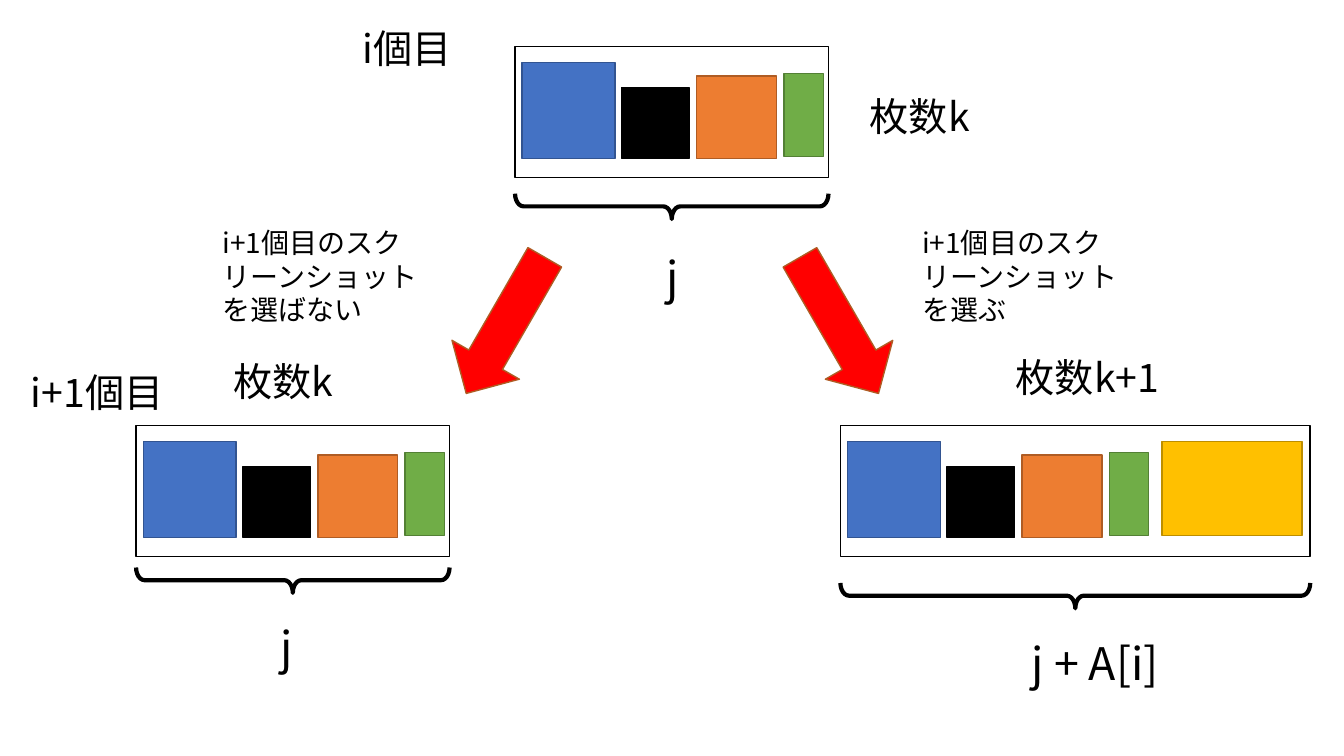
import lxml.etree
import pptx
import pptx.dml.color
import pptx.enum.shapes
import pptx.enum.text
import pptx.oxml.ns
import pptx.util

Cm = pptx.util.Cm
RGB = pptx.dml.color.RGBColor
KIND = pptx.enum.shapes.MSO_SHAPE
FONT = "Noto Sans CJK JP"

WHITE = RGB(0xFF, 0xFF, 0xFF)
BLACK = RGB(0x00, 0x00, 0x00)
RED = RGB(0xFF, 0x00, 0x00)
BLUE = RGB(0x44, 0x72, 0xC4)
NAVY = RGB(0x32, 0x54, 0x91)
ORANGE = RGB(0xED, 0x7D, 0x31)
BROWN = RGB(0xAF, 0x5C, 0x24)
GREEN = RGB(0x70, 0xAD, 0x47)
MOSS = RGB(0x53, 0x80, 0x35)
GOLD = RGB(0xFF, 0xC0, 0x00)
OCHRE = RGB(0xBD, 0x8E, 0x00)

# Left, top, width and height inside the frame, then fill and line
SHOTS = [
    (0.18, 0.41, 2.34, 2.41, BLUE, NAVY),
    (2.69, 1.04, 1.7, 1.78, BLACK, BLACK),
    (4.58, 0.75, 2.01, 2.08, ORANGE, BROWN),
    (6.78, 0.69, 0.99, 2.08, GREEN, MOSS),
]
ADDED = (8.1, 0.41, 3.53, 2.36, GOLD, OCHRE)
HIGH = 3.3
DEEP = 0.64


def add_form(slide, kind, box, fill, line, width=1):
    form = slide.shapes.add_shape(kind, *map(Cm, box))
    form.shadow.inherit = False
    if fill is None:
        form.fill.background()
    else:
        form.fill.solid()
        form.fill.fore_color.rgb = fill
    form.line.color.rgb = line
    form.line.width = pptx.util.Pt(width)
    return form


def add_label(slide, text, left, top, width, size):
    height = size * 0.05
    box = slide.shapes.add_textbox(*map(Cm, (left, top, width, height)))
    frame = box.text_frame
    frame.word_wrap = True
    frame.auto_size = pptx.enum.text.MSO_AUTO_SIZE.SHAPE_TO_FIT_TEXT
    para = frame.paragraphs[0]
    para.text = text
    font = para.font
    font.size = pptx.util.Pt(size)
    font.color.rgb = BLACK
    font.name = FONT
    props = para._p.pPr.find(pptx.oxml.ns.qn("a:defRPr"))
    east = lxml.etree.SubElement(props, pptx.oxml.ns.qn("a:ea"))
    east.set("typeface", FONT)


def add_state(slide, left, top, width, shots, gap, labels):
    """Draw a framed row of shots, its brace and labels placed from its corner."""
    add_form(slide, KIND.RECTANGLE, (left, top, width, HIGH), WHITE, BLACK)
    for x, y, wide, high, fill, line in shots:
        add_form(slide, KIND.RECTANGLE, (left + x, top + y, wide, high), fill, line)
    # The brace is a tall shape turned on its side about its centre
    mid_x = left + width / 2
    mid_y = top + HIGH + gap + DEEP / 2
    box = (mid_x - DEEP / 2, mid_y - width / 2, DEEP, width)
    brace = add_form(slide, KIND.LEFT_BRACE, box, None, BLACK, 3)
    brace.adjustments[0] = 0.336
    brace.rotation = 270
    for text, x, y, wide, size in labels:
        add_label(slide, text, left + x, top + y, wide, size)


def add_choice(slide, left, turn, text, text_left):
    arrow = add_form(slide, KIND.DOWN_ARROW, (left, 6.22, 1.96, 3.96), RED, BROWN)
    arrow.rotation = turn
    add_label(slide, text, text_left, 5.56, 5.84, 20)


def main():
    deck = pptx.Presentation()
    deck.slide_width = Cm(33.87)
    deck.slide_height = Cm(19.05)
    slide = deck.slides.add_slide(deck.slide_layouts[6])

    add_state(slide, 12.98, 1.17, 7.9, SHOTS, 0.41, [
        ("j", 3.56, 5, 1.3, 32),
        ("枚数k", 8.69, 1.04, 3.51, 28),
        ("i個目", -4.09, -0.69, 3.25, 28),
    ])
    add_state(slide, 3.43, 10.72, 7.9, SHOTS, 0.28, [
        ("j", 3.4, 4.78, 1, 32),
        ("枚数k", 2.21, -1.85, 3.51, 28),
        ("i+1個目", -2.9, -1.57, 4.34, 28),
    ])
    add_state(slide, 21.18, 10.72, 11.84, SHOTS + [ADDED], 0.67, [
        ("j + A[i]", 4.57, 5.18, 4.22, 32),
        ("枚数k+1", 4.17, -1.93, 4.93, 28),
    ])
    add_choice(slide, 11.76, 30, "i+1個目のスクリーンショットを選ばない", 5.36)
    add_choice(slide, 20.17, 330, "i+1個目のスクリーンショットを選ぶ", 22.99)
    deck.save("out.pptx")


if __name__ == "__main__":
    main()
